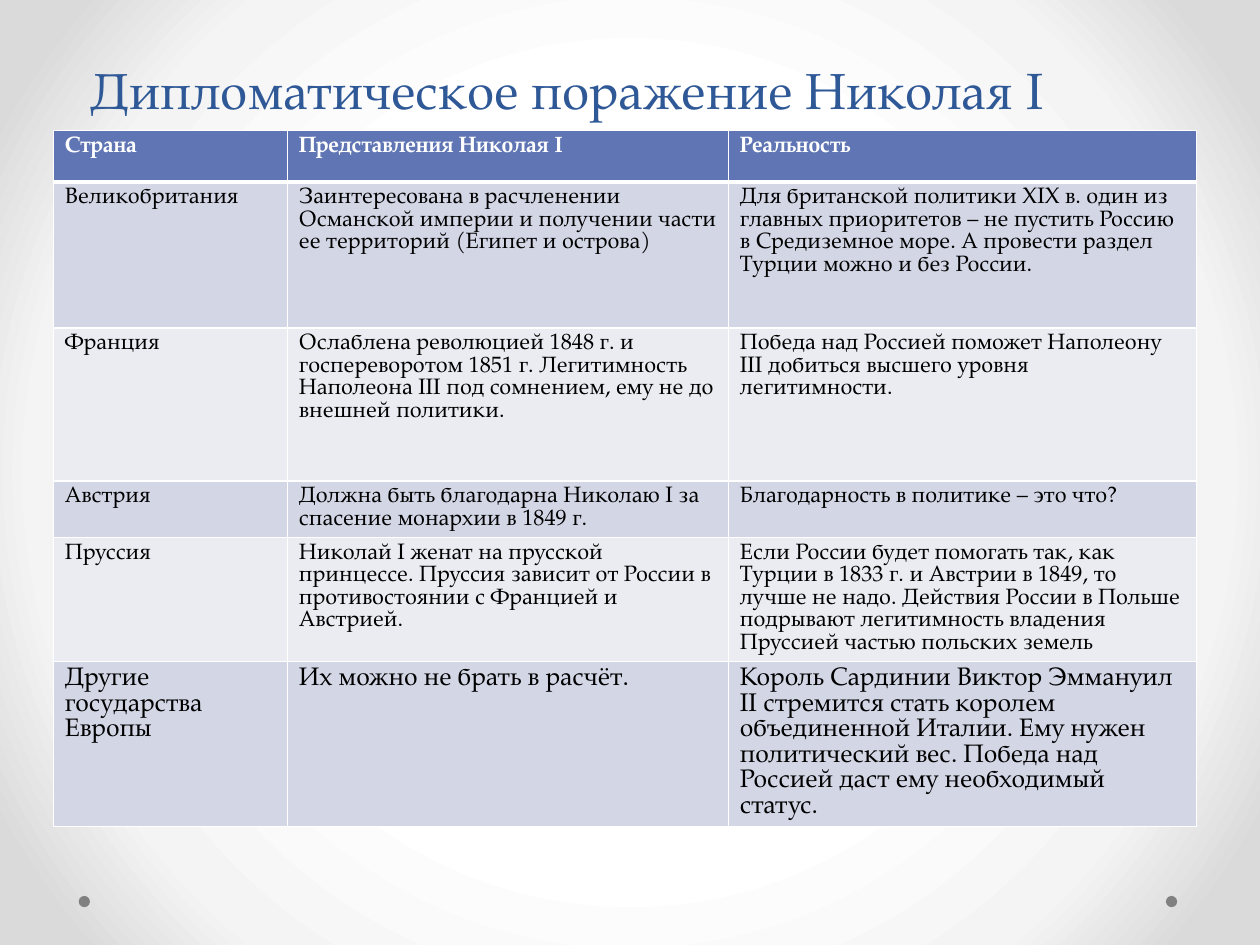
import pptx
import pptx.util
import pptx.oxml
import pptx.oxml.ns
import pptx.dml.color
import pptx.enum.shapes
import pptx.enum.text

Cm = pptx.util.Cm
Pt = pptx.util.Pt
RGBColor = pptx.dml.color.RGBColor

FONT = "TeX Gyre Pagella"
NAVY = RGBColor(0x2F, 0x58, 0x97)
BLUE = RGBColor(0x60, 0x76, 0xB4)
DARK = RGBColor(0xD2, 0xD6, 0xE5)
PALE = RGBColor(0xEA, 0xEC, 0xF2)
GRAY = RGBColor(0x80, 0x80, 0x80)
WHITE = RGBColor(0xFF, 0xFF, 0xFF)
BLACK = RGBColor(0x00, 0x00, 0x00)
SMOKE = RGBColor(0xF4, 0xF4, 0xF4)
ASH = RGBColor(0xDA, 0xDA, 0xDA)

STOPS = [(50, WHITE), (76, SMOKE), (92, ASH)]
WIDTHS = [5.2, 9.8, 10.4]
HEIGHTS = [1.14, 3.25, 3.4, 1.14, 2.36, 1.14]
ROWS = [
    ("Страна", "Представления Николая I", "Реальность"),
    ("Великобритания",
     "Заинтересована в расчленении Османской империи и получении части "
     "ее территорий (Египет и острова)",
     "Для британской политики XIX в. один из главных приоритетов – не "
     "пустить Россию в Средиземное море. А провести раздел Турции можно "
     "и без России."),
    ("Франция",
     "Ослаблена революцией 1848 г. и госпереворотом 1851 г. Легитимность "
     "Наполеона III под сомнением, ему не до внешней политики.",
     "Победа над Россией поможет Наполеону III добиться высшего уровня "
     "легитимности."),
    ("Австрия",
     "Должна быть благодарна Николаю I за спасение монархии в 1849 г.",
     "Благодарность в политике – это что?"),
    ("Пруссия",
     "Николай I женат на прусской принцессе. Пруссия зависит от России в "
     "противостоянии с Францией и Австрией.",
     "Если России будет помогать так, как Турции в 1833 г. и Австрии в "
     "1849, то лучше не надо. Действия России в Польше подрывают "
     "легитимность владения Пруссией частью польских земель"),
    ("Другие государства Европы",
     "Их можно не брать в расчёт.",
     "Король Сардинии Виктор Эммануил II стремится стать королем "
     "объединенной Италии. Ему нужен политический вес. Победа над Россией "
     "даст ему необходимый статус."),
]


def style(para, size, color, bold=False):
    for run in para.runs:
        run.font.name = FONT
        run.font.size = Pt(size)
        run.font.bold = bold
        run.font.color.rgb = color


def paint(slide):
    stops = "".join(
        f'<a:gs pos="{pos * 1000}"><a:srgbClr val="{color}"/></a:gs>'
        for pos, color in STOPS)
    fill = slide.background.fill
    fill.gradient()
    grad = slide.element.find(".//" + pptx.oxml.ns.qn("a:gradFill"))
    grad.getparent().replace(grad, pptx.oxml.parse_xml(
        f'<a:gradFill {pptx.oxml.ns.nsdecls("a")} rotWithShape="1">'
        f'<a:gsLst>{stops}</a:gsLst><a:path path="circle">'
        '<a:fillToRect l="50000" t="50000" r="50000" b="50000"/>'
        '</a:path></a:gradFill>'))


def add_dot(slide, left):
    dot = slide.shapes.add_shape(
        pptx.enum.shapes.MSO_SHAPE.OVAL,
        Cm(left), Cm(19.91), Cm(0.25), Cm(0.25))
    dot.shadow.inherit = False
    dot.fill.solid()
    dot.fill.fore_color.rgb = GRAY
    dot.line.fill.background()


def set_title(slide, text):
    title = slide.shapes.title
    title.left, title.top = Cm(0), Cm(0.84)
    title.width, title.height = Cm(25.2), Cm(1.96)
    frame = title.text_frame
    frame.text = text
    frame.word_wrap = True
    frame.auto_size = pptx.enum.text.MSO_AUTO_SIZE.NONE
    frame.vertical_anchor = pptx.enum.text.MSO_ANCHOR.BOTTOM
    frame.margin_left = frame.margin_right = Cm(0.28)
    frame.margin_top = frame.margin_bottom = Cm(0.15)
    para = frame.paragraphs[0]
    para.alignment = pptx.enum.text.PP_ALIGN.CENTER
    para.line_spacing = Pt(63.9)
    style(para, 32, NAVY)


def set_edges(cell, top, bottom):
    props = cell._tc.get_or_add_tcPr()
    edges = [("L", 1), ("R", 1), ("T", top), ("B", bottom)]
    for place, (side, width) in enumerate(edges):
        props.insert(place, pptx.oxml.parse_xml(
            f'<a:ln{side} {pptx.oxml.ns.nsdecls("a")} w="{Pt(width)}">'
            f'<a:solidFill><a:srgbClr val="{WHITE}"/></a:solidFill>'
            f'</a:ln{side}>'))


def fill_cell(cell, text, row):
    head = row == 0
    cell.text_frame.text = text
    size = 16 if row == len(ROWS) - 1 else 14
    style(cell.text_frame.paragraphs[0], size, WHITE if head else BLACK, head)
    cell.fill.solid()
    cell.fill.fore_color.rgb = BLUE if head else DARK if row % 2 else PALE
    set_edges(cell, 3 if row == 1 else 1, 3 if head else 1)


def add_grid(slide):
    grid = slide.shapes.add_table(
        len(ROWS), len(WIDTHS), Cm(1.19), Cm(2.9),
        Cm(sum(WIDTHS)), Cm(sum(HEIGHTS))).table
    for column, width in zip(grid.columns, WIDTHS):
        column.width = Cm(width)
    for row, (height, texts) in enumerate(zip(HEIGHTS, ROWS)):
        grid.rows[row].height = Cm(height)
        for col, text in enumerate(texts):
            fill_cell(grid.cell(row, col), text, row)


def main():
    deck = pptx.Presentation()
    deck.slide_width, deck.slide_height = Cm(28), Cm(21)
    slide = deck.slides.add_slide(deck.slide_layouts[5])
    paint(slide)
    for left in (25.91, 1.75):
        add_dot(slide, left)
    set_title(slide, "Дипломатическое поражение Николая I")
    add_grid(slide)
    deck.save("out.pptx")


if __name__ == "__main__":
    main()
